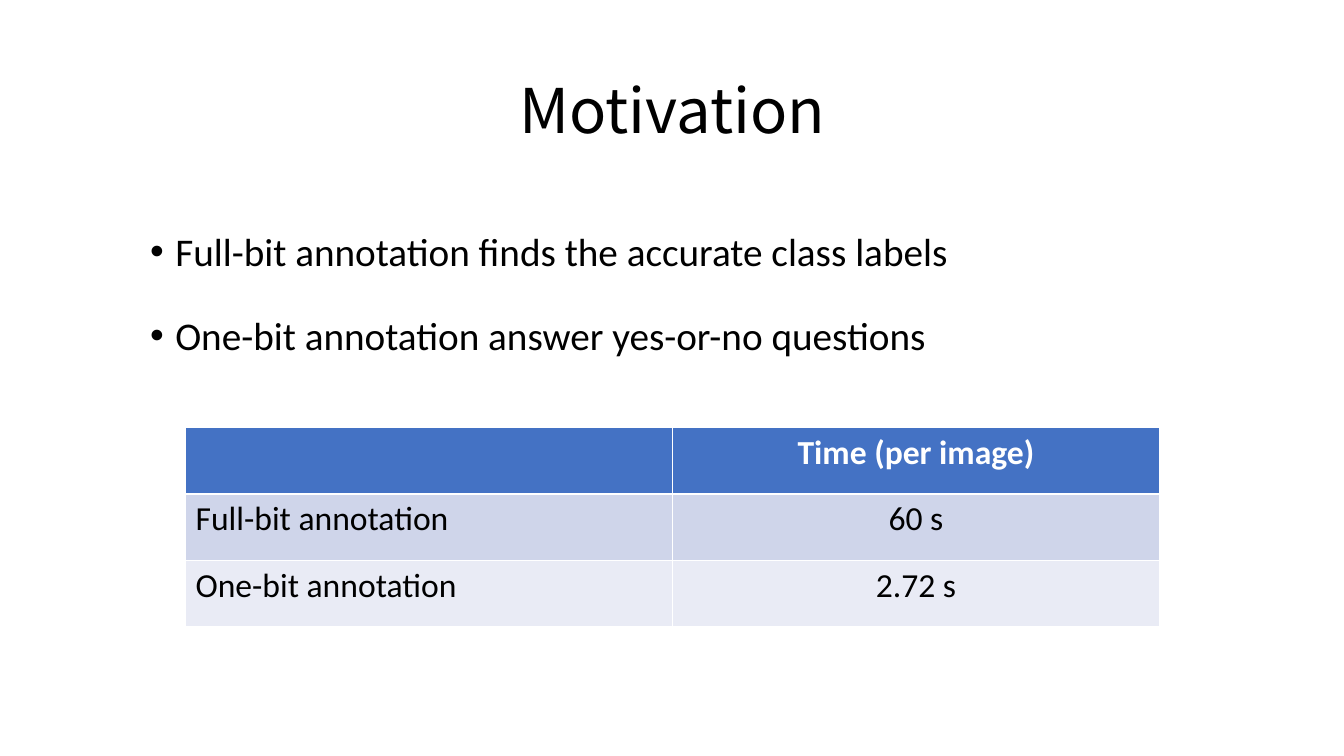
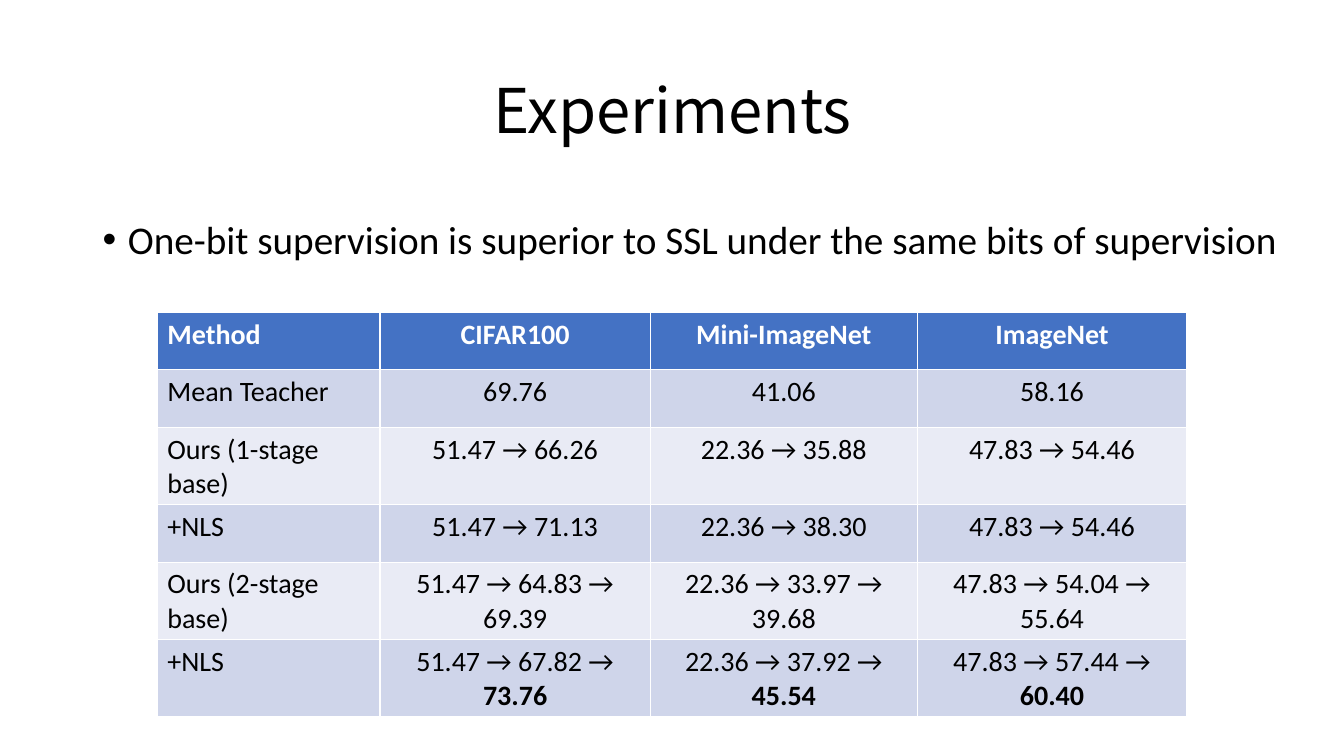
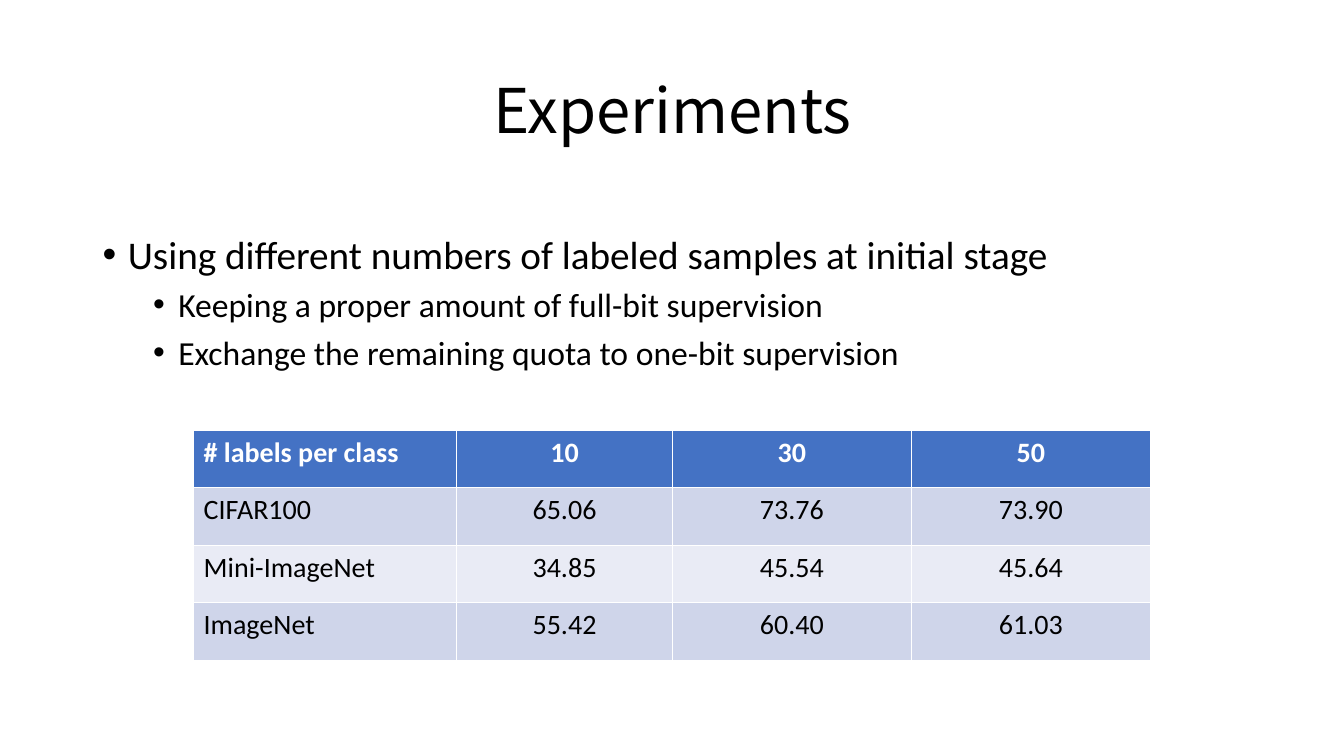
"""Three slides on one-bit supervision, each with a title, bullets and a results table."""
from lxml import etree
from pptx import Presentation
from pptx.dml.color import RGBColor
from pptx.enum.text import MSO_ANCHOR, PP_ALIGN
from pptx.oxml.ns import qn
from pptx.util import Inches, Pt

LEFT, CENTER, MIDDLE = PP_ALIGN.LEFT, PP_ALIGN.CENTER, MSO_ANCHOR.MIDDLE
BLACK = RGBColor(0x00, 0x00, 0x00)
WHITE = RGBColor(0xFF, 0xFF, 0xFF)
HEADER_BLUE = RGBColor(0x44, 0x72, 0xC4)
BANDS = [RGBColor(0xE9, 0xEB, 0xF5), RGBColor(0xCF, 0xD5, 0xEA)]
TITLE_FONT, BODY_FONT = "Noto Sans CJK SC", "Calibri"
MARGIN, TITLE_WIDTH, BODY_HEIGHT = 0.92, 11.5, 4.76
HANG = 0.25
BULLET_LEVELS = [
    {"size": 28, "indent": 0.25, "spacing": 1.5, "before": 10},
    {"size": 24, "indent": 0.75, "spacing": 1.0, "before": 5},
]

SLIDES = [
    {
        "title": "Motivation",
        "body": (1.39, 1.97, 10.55),
        "bullets": [
            (0, "Full-bit annotation finds the accurate class labels"),
            (0, "One-bit annotation answer yes-or-no questions"),
        ],
        "table_at": (1.84, 4.24),
        "columns": [4.83, 4.83],
        "row_height": 0.66,
        "size": 24,
        "rows": [
            ["", "Time (per image)"],
            ["Full-bit annotation", "60 s"],
            ["One-bit annotation", "2.72 s"],
        ],
    },
    {
        "title": "Experiments",
        "body": (MARGIN, 1.85, 12.03),
        "bullets": [
            (0, "One-bit supervision is superior to SSL under the same bits of supervision"),
        ],
        "table_at": (1.56, 3.1),
        "columns": [2.21, 2.68, 2.65, 2.67],
        "row_height": 0.57,
        "size": 20,
        "rows": [
            ["Method", "CIFAR100", "Mini-ImageNet", "ImageNet"],
            ["Mean Teacher", "69.76", "41.06", "58.16"],
            ["Ours (1-stage base)", "51.47 → 66.26", "22.36 → 35.88", "47.83 → 54.46"],
            ["+NLS", "51.47 → 71.13", "22.36 → 38.30", "47.83 → 54.46"],
            ["Ours (2-stage base)", "51.47 → 64.83 → 69.39",
             "22.36 → 33.97 → 39.68", "47.83 → 54.04 → 55.64"],
            ["+NLS", "51.47 → 67.82 → *73.76",
             "22.36 → 37.92 → *45.54", "47.83 → 57.44 → *60.40"],
        ],
    },
    {
        "title": "Experiments",
        "body": (MARGIN, 2.0, TITLE_WIDTH),
        "bullets": [
            (0, "Using different numbers of labeled samples at initial stage"),
            (1, "Keeping a proper amount of full-bit supervision"),
            (1, "Exchange the remaining quota to one-bit supervision"),
        ],
        "table_at": (1.92, 4.27),
        "columns": [2.61, 2.14, 2.37, 2.37],
        "row_height": 0.57,
        "size": 20,
        "rows": [
            ["# labels per class", "10", "30", "50"],
            ["CIFAR100", "65.06", "73.76", "73.90"],
            ["Mini-ImageNet", "34.85", "45.54", "45.64"],
            ["ImageNet", "55.42", "60.40", "61.03"],
        ],
    },
]


def style(run, font, size, color=BLACK, bold=False):
    run.font.name = font
    run.font.size = Pt(size)
    run.font.color.rgb = color
    run.font.bold = bold


def add_frame(slide, left, top, width, height):
    frame = slide.shapes.add_textbox(*map(Inches, (left, top, width, height))).text_frame
    frame.word_wrap = True
    return frame


deck = Presentation()
deck.slide_width, deck.slide_height = Inches(13.33), Inches(7.5)

for content in SLIDES:
    slide = deck.slides.add_slide(deck.slide_layouts[6])

    title = add_frame(slide, MARGIN, 0.4, TITLE_WIDTH, 1.45)
    title.text = content["title"]
    title.vertical_anchor = MIDDLE
    heading = title.paragraphs[0]
    heading.alignment = CENTER
    heading.line_spacing = 0.9
    style(heading.runs[0], TITLE_FONT, 44)

    body = add_frame(slide, *content["body"], BODY_HEIGHT)
    body.text = "\n".join(text for _, text in content["bullets"])
    for point, (depth, _) in zip(body.paragraphs, content["bullets"]):
        level = BULLET_LEVELS[depth]
        point.level = depth
        point.line_spacing = level["spacing"]
        point.space_before = Pt(level["before"])
        style(point.runs[0], BODY_FONT, level["size"])
        properties = point._p.get_or_add_pPr()
        properties.set("marL", str(Inches(level["indent"])))
        properties.set("indent", str(-Inches(HANG)))
        etree.SubElement(properties, qn("a:buFont"), typeface="Arial")
        etree.SubElement(properties, qn("a:buChar"), char="•")

    rows, columns = content["rows"], content["columns"]
    results = slide.shapes.add_table(
        len(rows), len(columns), *map(Inches, content["table_at"]),
        Inches(sum(columns)), Inches(content["row_height"] * len(rows))).table
    for column, width in zip(results.columns, columns):
        column.width = Inches(width)
    for r, row in enumerate(rows):
        is_header = r == 0
        results.rows[r].height = Inches(content["row_height"])
        for c, text in enumerate(row):
            cell = results.cell(r, c)
            cell.fill.solid()
            cell.fill.fore_color.rgb = HEADER_BLUE if is_header else BANDS[r % 2]
            plain, _, best = text.partition("*")
            entry = cell.text_frame.paragraphs[0]
            entry.text = plain
            entry.alignment = CENTER if c else LEFT
            for run in entry.runs:
                style(run, BODY_FONT, content["size"], WHITE if is_header else BLACK, is_header)
            if best:
                best_run = entry.add_run()
                best_run.text = best
                style(best_run, BODY_FONT, content["size"], bold=True)

deck.save("out.pptx")
